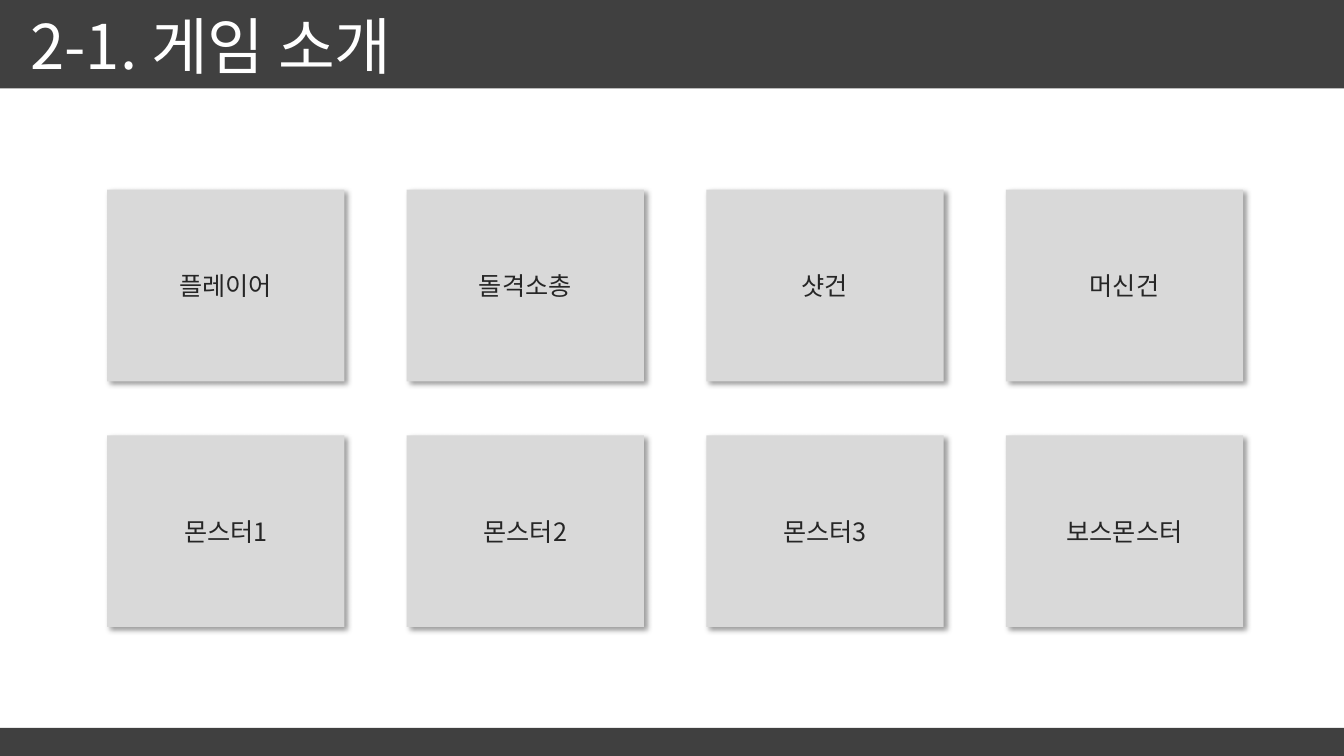
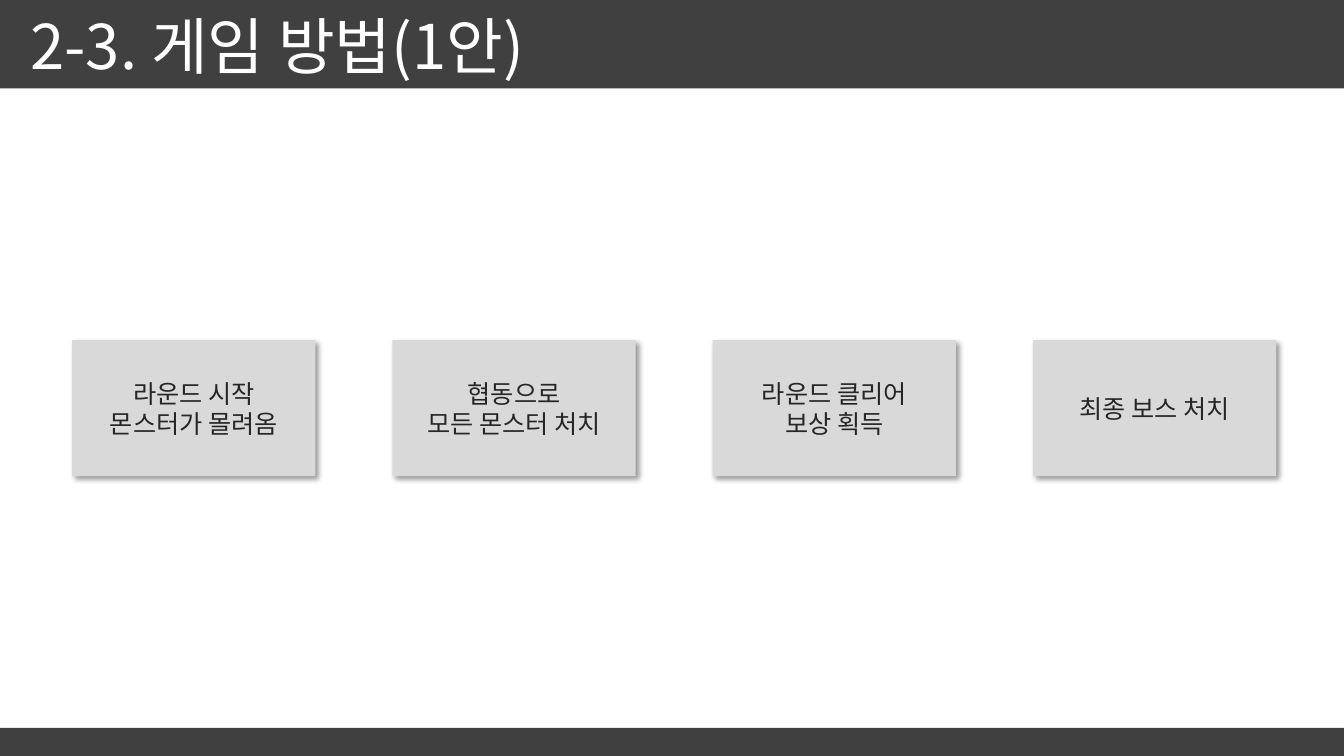
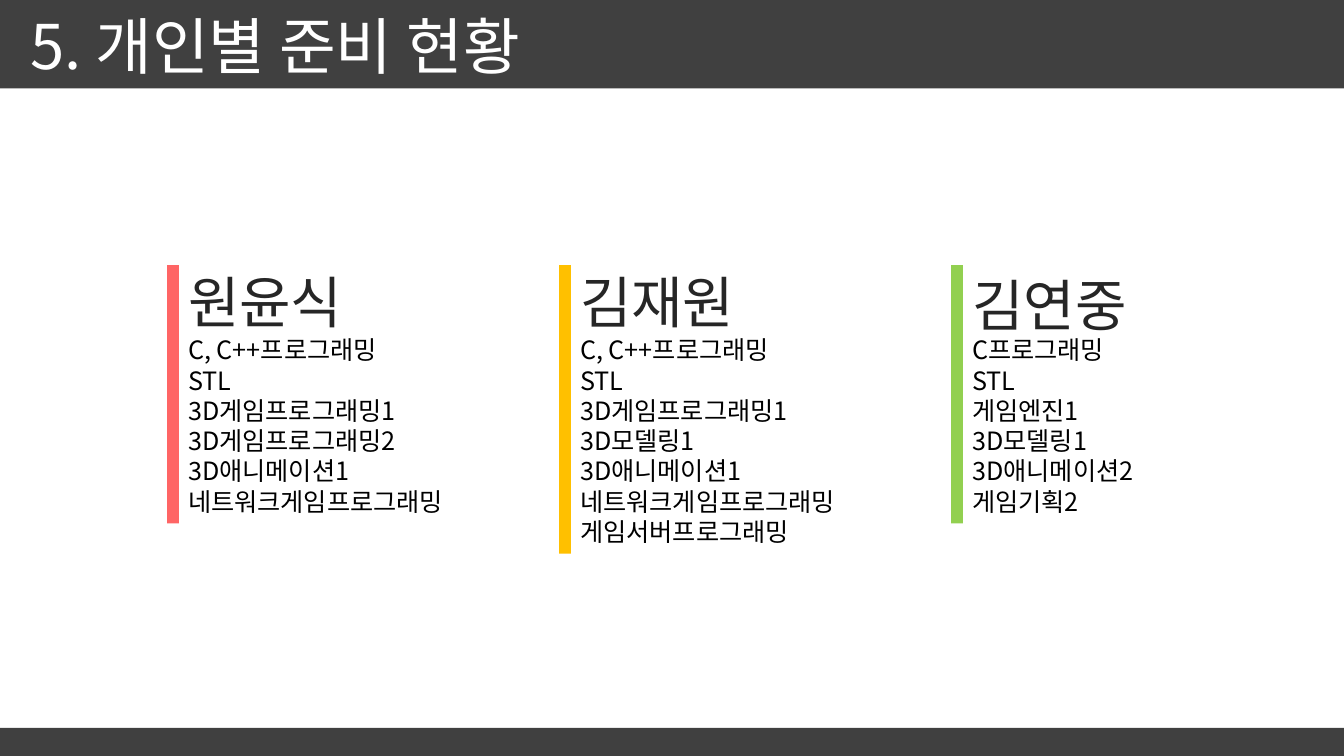
"""Build three slides of a game project: cast, round flow and team skills."""
from lxml.etree import SubElement as Sub
from pptx import Presentation as Deck
from pptx.dml.color import RGBColor as Rgb
from pptx.enum.shapes import MSO_SHAPE as Kind
from pptx.enum.text import MSO_ANCHOR as Anchor, MSO_AUTO_SIZE as Fit, PP_ALIGN as Align
from pptx.oxml.ns import qn
from pptx.util import Cm, Pt

HUES = {"band": "404040", "card": "D9D9D9", "ink": "262626", "black": "000000",
        "white": "FFFFFF", "red": "FF6565", "gold": "FFC000", "green": "92D050"}
FACE = "Noto Sans CJK KR"
WIDE, HIGH = 33.87, 19.05
EDGE = 0.51
TOP = {"word_wrap": True, "auto_size": Fit.NONE, "vertical_anchor": Anchor.TOP}
MID = {"word_wrap": True, "vertical_anchor": Anchor.MIDDLE}
SHADE = {"blurRad": Pt(4), "dist": Pt(3), "dir": 45 * 60000,
         "algn": "tl", "rotWithShape": 0}


def apply(item, form):
    """Set each attribute named in form on item."""
    for key, value in form.items():
        setattr(item, key, value)


def place(item, box):
    """Move item to box, given as left, top, width, height in cm."""
    apply(item, dict(zip(("left", "top", "width", "height"), map(Cm, box))))


def write(item, text, size, hue, form, align=Align.LEFT):
    """Fill item with text, one paragraph a line."""
    frame = item.text_frame
    frame.text = text
    apply(frame, form)
    for para in frame.paragraphs:
        para.alignment = align
        for run in para.runs:
            apply(run.font, {"size": Pt(size), "name": FACE})
            run.font.color.rgb = Rgb.from_string(HUES[hue])
            Sub(run.font._element, qn("a:ea")).set("typeface", FACE)


def block(slide, box, hue):
    """Add a plain filled rectangle."""
    rect = slide.shapes.add_shape(Kind.RECTANGLE, *map(Cm, box))
    rect.shadow.inherit = False
    rect.fill.solid()
    rect.fill.fore_color.rgb = Rgb.from_string(HUES[hue])
    rect.line.fill.background()
    return rect


def label(slide, box, text, size, hue):
    """Add a text box."""
    write(slide.shapes.add_textbox(*map(Cm, box)), text, size, hue, TOP)


def shade(rect):
    """Give rect a soft shadow to the lower right."""
    drop = Sub(rect.element.spPr.find(qn("a:effectLst")), qn("a:outerShdw"))
    for key, value in SHADE.items():
        drop.set(key, str(value))
    tint = Sub(drop, qn("a:srgbClr"), val=HUES["black"])
    Sub(tint, qn("a:alpha"), val="40000")


def page(deck, text):
    """Start a slide with its bands and title."""
    slide = deck.slides.add_slide(deck.slide_layouts[5])
    for spot, (top, high) in enumerate([(0, 2.23), (18.34, 0.71)], 2):
        band = block(slide, (0, top, WIDE, high), "band")
        slide.shapes.element.insert(spot, band.element)
    title = slide.shapes.title
    place(title, (EDGE, 0.08, WIDE - 2 * EDGE, 2.13))
    write(title, text, 44, "white", TOP)
    return slide


def cards(slide, box, step, rows):
    """Lay out rows of cards from the first card's box."""
    left, top, wide, high = box
    for i, row in enumerate(rows):
        for j, text in enumerate(row):
            spot = left + j * step[0], top + i * step[1], wide, high
            card = block(slide, spot, "card")
            shade(card)
            write(card, text, 18, "ink", MID, Align.CENTER)


def member(slide, box, hue, name, drop, skills):
    """Show a name and skills beside a coloured bar."""
    left, top, wide = box
    high = 0.32 + 0.76 * len(skills)
    inset = left + 0.28
    label(slide, (inset, top + drop, wide, 1.96), name, 40, "ink")
    label(slide, (inset, top + 1.63, wide, high), "\n".join(skills), 18, "black")
    block(slide, (left, top, 0.3, 1.63 + high), hue)


def main():
    """Build and save the deck."""
    deck = Deck()
    apply(deck, {"slide_width": Cm(WIDE), "slide_height": Cm(HIGH)})

    cast = page(deck, "2-1. 게임 소개")
    cards(cast, (2.7, 4.78, 5.98, 4.83), (7.55, 6.19), [
        ["플레이어", "돌격소총", "샷건", "머신건"],
        ["몬스터1", "몬스터2", "몬스터3", "보스몬스터"]])

    flow = page(deck, "2-3. 게임 방법(1안)")
    cards(flow, (1.82, 8.57, 6.13, 3.43), (8.07, 0), [
        ["라운드 시작\n몬스터가 몰려옴", "협동으로\n모든 몬스터 처치",
         "라운드 클리어\n보상 획득", "최종 보스 처치"]])

    team = page(deck, "5. 개인별 준비 현황")
    people = [
        ("red", "원윤식", -0.06,
         ["C, C++프로그래밍", "STL", "3D게임프로그래밍1", "3D게임프로그래밍2",
          "3D애니메이션1", "네트워크게임프로그래밍"]),
        ("gold", "김재원", -0.06,
         ["C, C++프로그래밍", "STL", "3D게임프로그래밍1", "3D모델링1",
          "3D애니메이션1", "네트워크게임프로그래밍", "게임서버프로그래밍"]),
        ("green", "김연중", 0,
         ["C프로그래밍", "STL", "게임엔진1", "3D모델링1", "3D애니메이션2",
          "게임기획2"])]
    for i, (hue, name, drop, skills) in enumerate(people):
        member(team, (4.21 + i * 9.88, 6.68, 8), hue, name, drop, skills)

    deck.save("out.pptx")


main()
